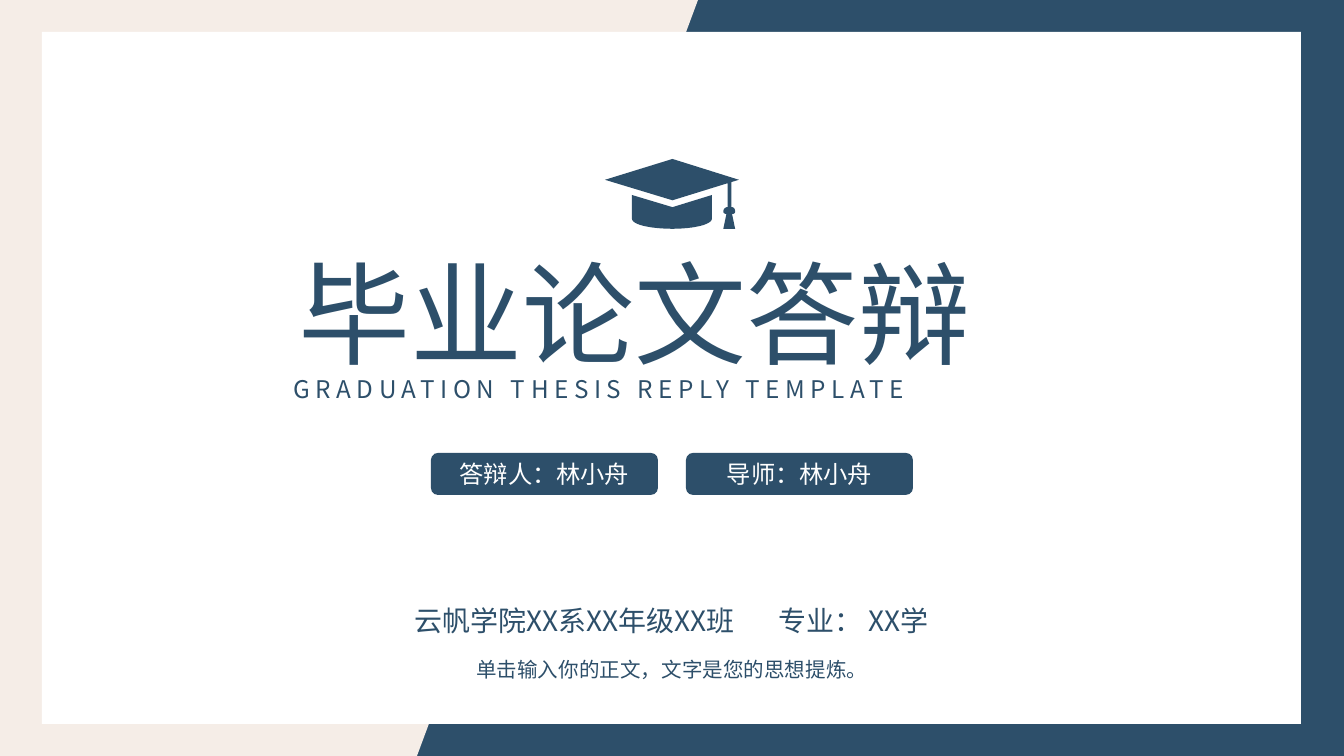
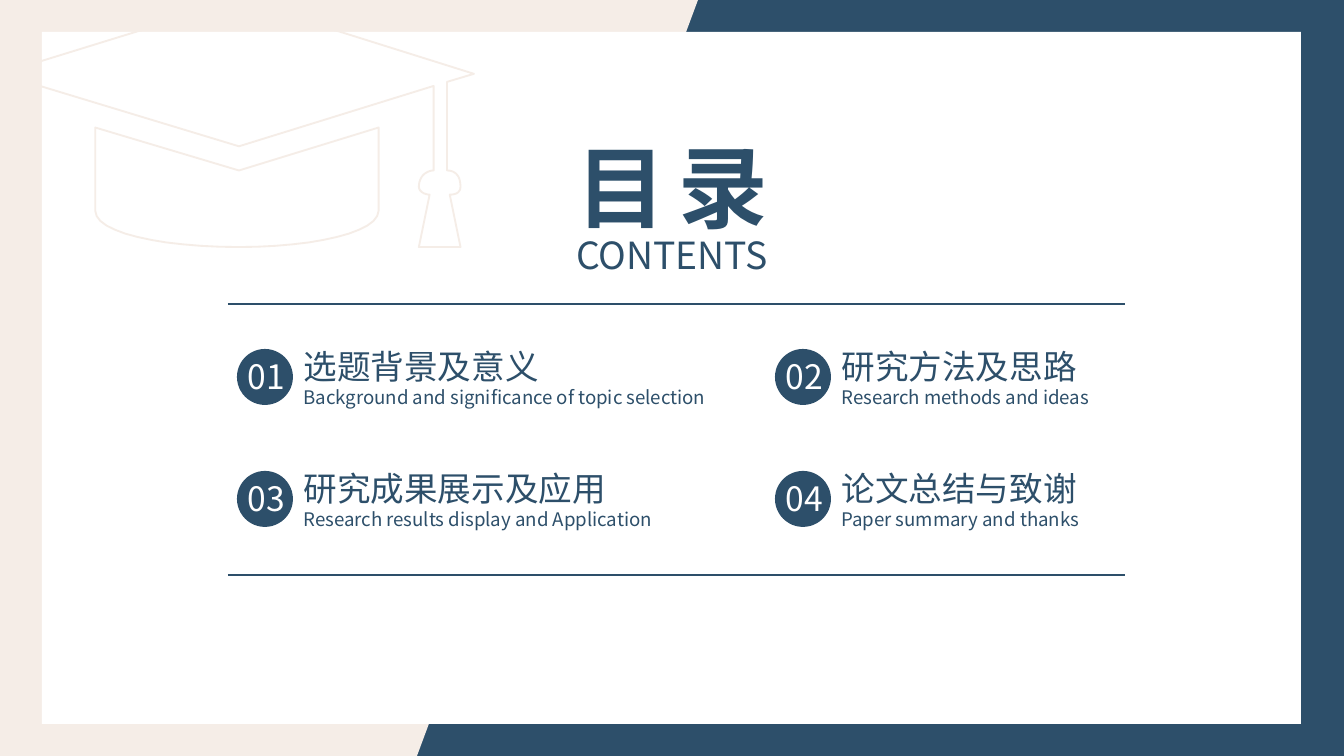
import lxml.etree
import pptx
import pptx.dml.color
import pptx.enum.shapes
import pptx.enum.text
import pptx.oxml.ns
import pptx.util

EMU_PER_PX = 914400 / 134.4
PAGE_WIDTH, PAGE_HEIGHT = 1344, 756
FONT = "Noto Sans CJK JP"
COLORS = {"navy": "2D4F6A", "cream": "F5EDE7", "white": "FFFFFF", "back": "F7F7F7"}
ALIGN = pptx.enum.text.PP_ALIGN
ANCHOR = pptx.enum.text.MSO_ANCHOR
SHAPE = pptx.enum.shapes.MSO_SHAPE

# Graduation cap: pairs are corners, sixes are Bezier curves
CAP_WIDTH = 353
CAP_OUTLINES = [
    [(343, 139), (343, 132, 340, 127, 333, 127), (333, 61), (353, 55), (178, 0),
     (0, 55), (178, 109), (323, 64), (323, 127), (317, 127, 312, 132, 312, 139),
     (312, 143, 317, 145, 320, 145), (312, 184), (343, 184), (335, 145),
     (340, 145, 343, 143, 343, 139)],
    [(71, 95), (71, 157), (71, 173, 119, 184, 178, 184),
     (234, 184, 282, 173, 282, 157), (282, 95), (178, 127), (71, 95)],
]


def px(length):
    return pptx.util.Emu(round(length * EMU_PER_PX))


def rgb(name):
    return pptx.dml.color.RGBColor.from_string(COLORS[name])


def flatten(outline, steps=12):
    """Turn corners and curves into a list of points."""
    points = []
    for part in outline:
        if len(part) == 2:
            points.append(part)
            continue
        x0, y0 = points[-1]
        x1, y1, x2, y2, x3, y3 = part
        for step in range(1, steps + 1):
            t = step / steps
            a, b, c, d = (1 - t) ** 3, 3 * t * (1 - t) ** 2, 3 * t * t * (1 - t), t ** 3
            points.append((a * x0 + b * x1 + c * x2 + d * x3,
                           a * y0 + b * y1 + c * y2 + d * y3))
    return points


class Painter:
    def __init__(self, deck):
        self.deck = deck
        self.page = None

    def new_page(self, layout):
        self.page = self.deck.slides.add_slide(self.deck.slide_layouts[layout])
        self.page.background.fill.solid()
        self.page.background.fill.fore_color.rgb = rgb("back")
        # Navy ground, cream slant, white panel
        self.shape(SHAPE.RECTANGLE, 0, 0, PAGE_WIDTH, PAGE_HEIGHT, "navy")
        slant = [(0, 0), (698, 0), (417, PAGE_HEIGHT), (0, PAGE_HEIGHT)]
        self.outline([slant], 0, 0, EMU_PER_PX, fill="cream")
        self.shape(SHAPE.RECTANGLE, 42, 32, 1259, 692, "white")

    def paint(self, shape, fill=None, line=None):
        shape.shadow.inherit = False
        if fill:
            shape.fill.solid()
            shape.fill.fore_color.rgb = rgb(fill)
        else:
            shape.fill.background()
        if line:
            shape.line.color.rgb = rgb(line)
            shape.line.width = pptx.util.Pt(1)
        else:
            shape.line.fill.background()

    def shape(self, kind, left, top, width, height, fill):
        shape = self.page.shapes.add_shape(kind, px(left), px(top), px(width), px(height))
        self.paint(shape, fill)
        return shape

    def outline(self, outlines, left, top, scale, **colors):
        builder = self.page.shapes.build_freeform(*outlines[0][0], scale=scale)
        for index, points in enumerate(outlines):
            if index:
                builder.move_to(*points[0])
            builder.add_line_segments(points[1:], close=True)
        self.paint(builder.convert_to_shape(px(left), px(top)), **colors)

    def cap(self, left, top, width, **colors):
        fine = 10
        outlines = [[(x * fine, y * fine) for x, y in flatten(outline)]
                    for outline in CAP_OUTLINES]
        self.outline(outlines, left, top, px(width) / (CAP_WIDTH * fine), **colors)

    def rule(self, left, right, y):
        line = self.page.shapes.add_connector(
            pptx.enum.shapes.MSO_CONNECTOR.STRAIGHT, px(left), px(y), px(right), px(y))
        line.line.color.rgb = rgb("navy")
        line.line.width = pptx.util.Pt(1)
        lxml.etree.SubElement(line._element.spPr, pptx.oxml.ns.qn("a:effectLst"))

    def set_text(self, box, paragraphs, color="navy", align=ALIGN.CENTER,
                 anchor=ANCHOR.TOP, bold=False):
        """Each paragraph is a list of (text, size, letter spacing)."""
        frame = box.text_frame
        frame.word_wrap = True
        frame.vertical_anchor = anchor
        for index, spans in enumerate(paragraphs):
            para = frame.add_paragraph() if index else frame.paragraphs[0]
            if box.is_placeholder:
                properties = para._p.get_or_add_pPr()
                properties.set("marL", "0")
                properties.set("indent", "0")
                lxml.etree.SubElement(properties, pptx.oxml.ns.qn("a:buNone"))
            for key, value in {"alignment": align, "space_before": pptx.util.Pt(0)}.items():
                setattr(para, key, value)
            for text, size, spacing in spans:
                span = para.add_run()
                span.text = text
                formats = {"name": FONT, "size": pptx.util.Pt(size), "bold": bold}
                for key, value in formats.items():
                    setattr(span.font, key, value)
                span.font.color.rgb = rgb(color)
                run_properties = span._r.get_or_add_rPr()
                if spacing:
                    run_properties.set("spc", str(round(spacing * 100)))
                east = lxml.etree.Element(pptx.oxml.ns.qn("a:ea"), typeface=FONT)
                run_properties.find(pptx.oxml.ns.qn("a:latin")).addnext(east)

    def text(self, left, top, width, height, paragraphs, **style):
        box = self.page.shapes.add_textbox(px(left), px(top), px(width), px(height))
        box.text_frame.auto_size = pptx.enum.text.MSO_AUTO_SIZE.SHAPE_TO_FIT_TEXT
        self.set_text(box, paragraphs, **style)

    def placeholder(self, index, left, top, width, height, paragraphs, **style):
        box = self.page.placeholders[index]
        place = {"left": left, "top": top, "width": width, "height": height}
        for key, value in place.items():
            setattr(box, key, px(value))
        box.text_frame.auto_size = pptx.enum.text.MSO_AUTO_SIZE.SHAPE_TO_FIT_TEXT
        self.page.shapes._spTree.append(box._element)  # bring in front of the panel
        self.set_text(box, paragraphs, **style)

    def pill(self, left, top, text):
        box = self.shape(SHAPE.ROUNDED_RECTANGLE, left, top, 227, 42, "navy")
        self.set_text(box, [[(text, 13, 0)]], color="white", anchor=ANCHOR.MIDDLE)


def build_cover(painter):
    painter.new_page(0)
    # School and note
    painter.text(370, 597, 603, 47, [[("云帆学院XX系XX年级XX班", 15, 0), (" ", 15, 20),
                                      ("专业： XX学", 15, 0)]])
    painter.text(390, 650, 564, 38, [[("单击输入你的正文，文字是您的思想提炼。", 11, 0)]])
    # Speaker and tutor
    for left, label in ((431, "答辩人：林小舟"), (686, "导师：林小舟")):
        painter.pill(left, 453, label)
    # Emblem and titles
    painter.cap(605, 159, 134, fill="navy")
    painter.placeholder(0, 285, 238, 774, 149, [[("毕业论文答辩", 60, 0)]],
                        align=ALIGN.JUSTIFY)
    painter.placeholder(1, 280, 367, 784, 43,
                        [[("GRADUATION THESIS REPLY TEMPLATE", 13, 3)]],
                        align=ALIGN.JUSTIFY)


def build_contents(painter):
    painter.new_page(4)
    # Heading
    painter.placeholder(0, 535, 125, 274, 122, [[("目 录", 48, -2.2)]], bold=True)
    painter.text(558, 226, 228, 59, [[("CONTENTS", 20, 0)]])
    # Topics in a grid of two columns
    topics = [
        ("选题背景及意义", "Background and significance of topic selection"),
        ("研究方法及思路", "Research methods and ideas"),
        ("研究成果展示及应用", "Research results display and Application"),
        ("论文总结与致谢", "Paper summary and thanks"),
    ]
    for index, (topic, english) in enumerate(topics):
        row, column = divmod(index, 2)
        x, y = column * 538, row * 122
        painter.placeholder(index + 1, 290 + x, 339 + y, (445, 321)[column], 77,
                            [[(topic, 18, 0)], [(english, 10, 0)]], align=ALIGN.LEFT)
        painter.shape(SHAPE.OVAL, 237 + x, 349 + y, 56, 56, "navy")
        painter.text(232 + x, 349 + y, 69, 54, [[(f"{index + 1:02}", 18, 0)]],
                     color="white")
    # Rules and large emblem
    for y in (304, 575):
        painter.rule(228, 1125, y)
    painter.cap(0, 0, 474, line="cream")


def main():
    deck = pptx.Presentation()
    deck.slide_width, deck.slide_height = px(PAGE_WIDTH), px(PAGE_HEIGHT)
    painter = Painter(deck)
    build_cover(painter)
    build_contents(painter)
    deck.save("out.pptx")


if __name__ == "__main__":
    main()
